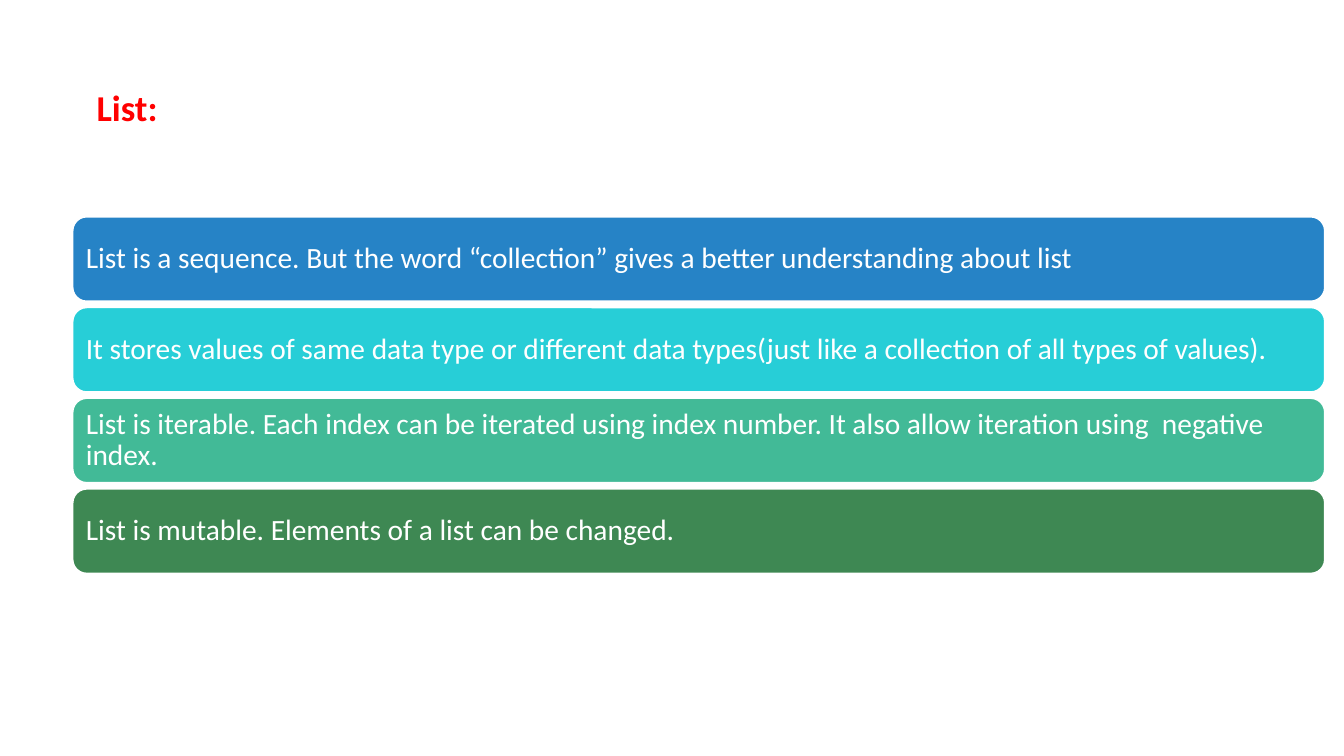
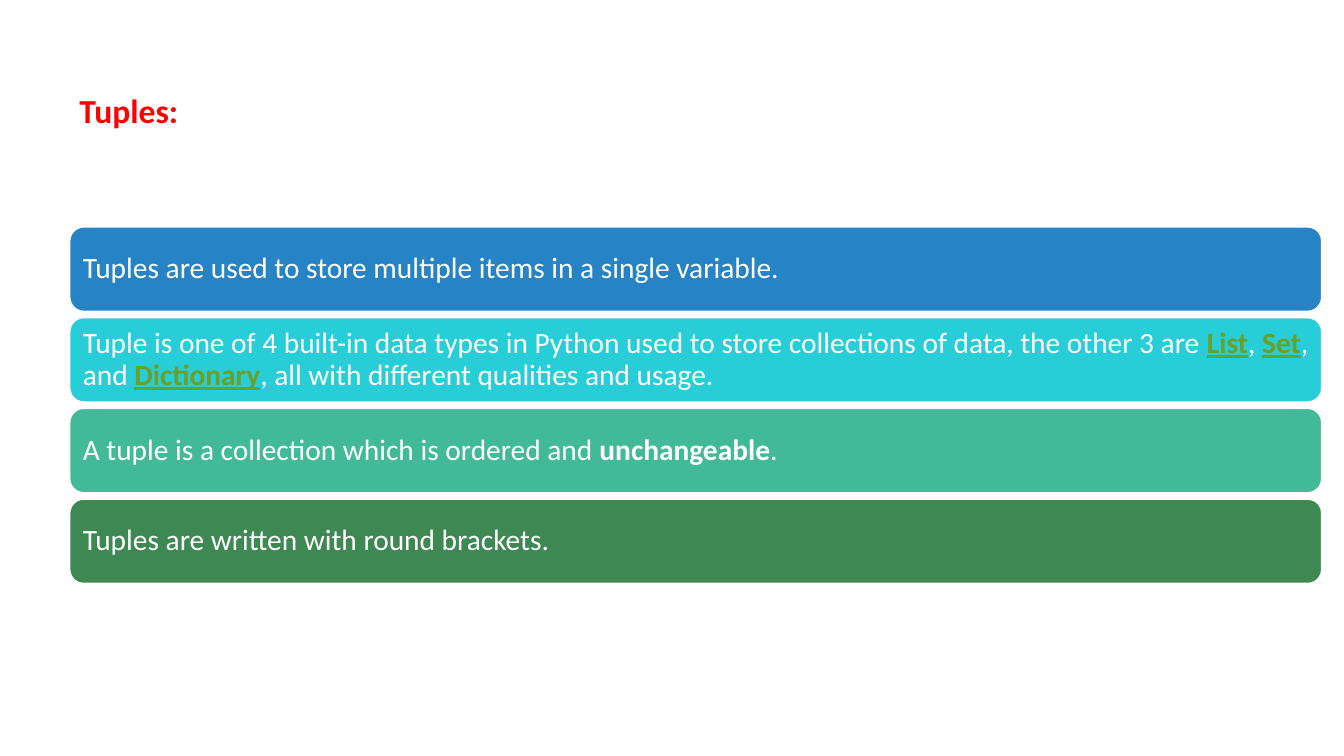
from pptx import Presentation
from pptx.dml.color import RGBColor
from pptx.enum.shapes import MSO_SHAPE
from pptx.enum.text import MSO_ANCHOR, PP_ALIGN
from pptx.util import Inches, Pt

FONT = "Calibri"
RED = RGBColor(0xFF, 0x00, 0x00)
WHITE = RGBColor(0xFF, 0xFF, 0xFF)
LINK_GREEN = RGBColor(0x6B, 0x9F, 0x25)
BAND_COLORS = [
    RGBColor(0x26, 0x83, 0xC6),
    RGBColor(0x27, 0xCE, 0xD7),
    RGBColor(0x42, 0xBA, 0x97),
    RGBColor(0x3E, 0x88, 0x53),
]
BAND_WIDTH, BAND_HEIGHT, BAND_PITCH = 12.42, 0.84, 0.9

TOPICS = [
    {
        "title": "List:",
        "title_size": 26,
        "title_box": (0.86, 0.8, 3.56, 0.54),
        "bands_at": (0.72, 2.15),
        "bands": [
            [("List is a sequence. But the word “collection” gives a better understanding about list", "plain")],
            [("It stores values of same data type or different data types(just like a collection of all types of values).", "plain")],
            [("List is iterable. Each index can be iterated using index number. It also allow iteration using  negative index.", "plain")],
            [("List is mutable. Elements of a list can be changed.", "plain")],
        ],
    },
    {
        "title": "Tuples:",
        "title_size": 24,
        "title_box": (0.69, 0.84, 6.67, 0.5),
        "bands_at": (0.69, 2.25),
        "bands": [
            [("Tuples are used to store multiple items in a single variable.", "plain")],
            [
                ("Tuple is one of 4 built-in data types in Python used to store collections of data, the other 3 are ", "plain"),
                ("List", "link"),
                (", ", "plain"),
                ("Set", "link"),
                (", and ", "plain"),
                ("Dictionary", "link"),
                (", all with different qualities and usage.", "plain"),
            ],
            [
                ("A tuple is a collection which is ordered and ", "plain"),
                ("unchangeable", "bold"),
                (".", "plain"),
            ],
            [("Tuples are written with round brackets.", "plain")],
        ],
    },
]


def set_font(paragraph, size, color):
    paragraph.font.name = FONT
    paragraph.font.size = Pt(size)
    paragraph.font.color.rgb = color


def add_title(slide, text, size, box):
    frame = slide.shapes.add_textbox(*map(Inches, box)).text_frame
    frame.word_wrap = True
    paragraph = frame.paragraphs[0]
    paragraph.text = text
    set_font(paragraph, size, RED)
    paragraph.font.bold = True


def add_band(slide, left, top, color, pieces):
    shape = slide.shapes.add_shape(
        MSO_SHAPE.ROUNDED_RECTANGLE,
        Inches(left), Inches(top), Inches(BAND_WIDTH), Inches(BAND_HEIGHT),
    )
    shape.shadow.inherit = False
    shape.fill.solid()
    shape.fill.fore_color.rgb = color
    shape.line.color.rgb = WHITE
    shape.line.width = Pt(1.25)

    frame = shape.text_frame
    frame.word_wrap = True
    frame.vertical_anchor = MSO_ANCHOR.MIDDLE
    frame.margin_left = frame.margin_right = Inches(0.09)
    frame.margin_top = frame.margin_bottom = Inches(0.05)
    paragraph = frame.paragraphs[0]
    paragraph.alignment = PP_ALIGN.LEFT
    paragraph.line_spacing = 0.9
    set_font(paragraph, 21, WHITE)
    for text, style in pieces:
        run = paragraph.add_run()
        run.text = text
        if style != "plain":
            run.font.bold = True
        if style == "link":
            run.font.underline = True
            run.font.color.rgb = LINK_GREEN


def main():
    presentation = Presentation()
    presentation.slide_width = Inches(13.33)
    presentation.slide_height = Inches(7.5)
    for topic in TOPICS:
        slide = presentation.slides.add_slide(presentation.slide_layouts[6])
        add_title(slide, topic["title"], topic["title_size"], topic["title_box"])
        left, top = topic["bands_at"]
        for index, (color, pieces) in enumerate(zip(BAND_COLORS, topic["bands"])):
            add_band(slide, left, top + index * BAND_PITCH, color, pieces)
    presentation.save("out.pptx")


if __name__ == "__main__":
    main()
